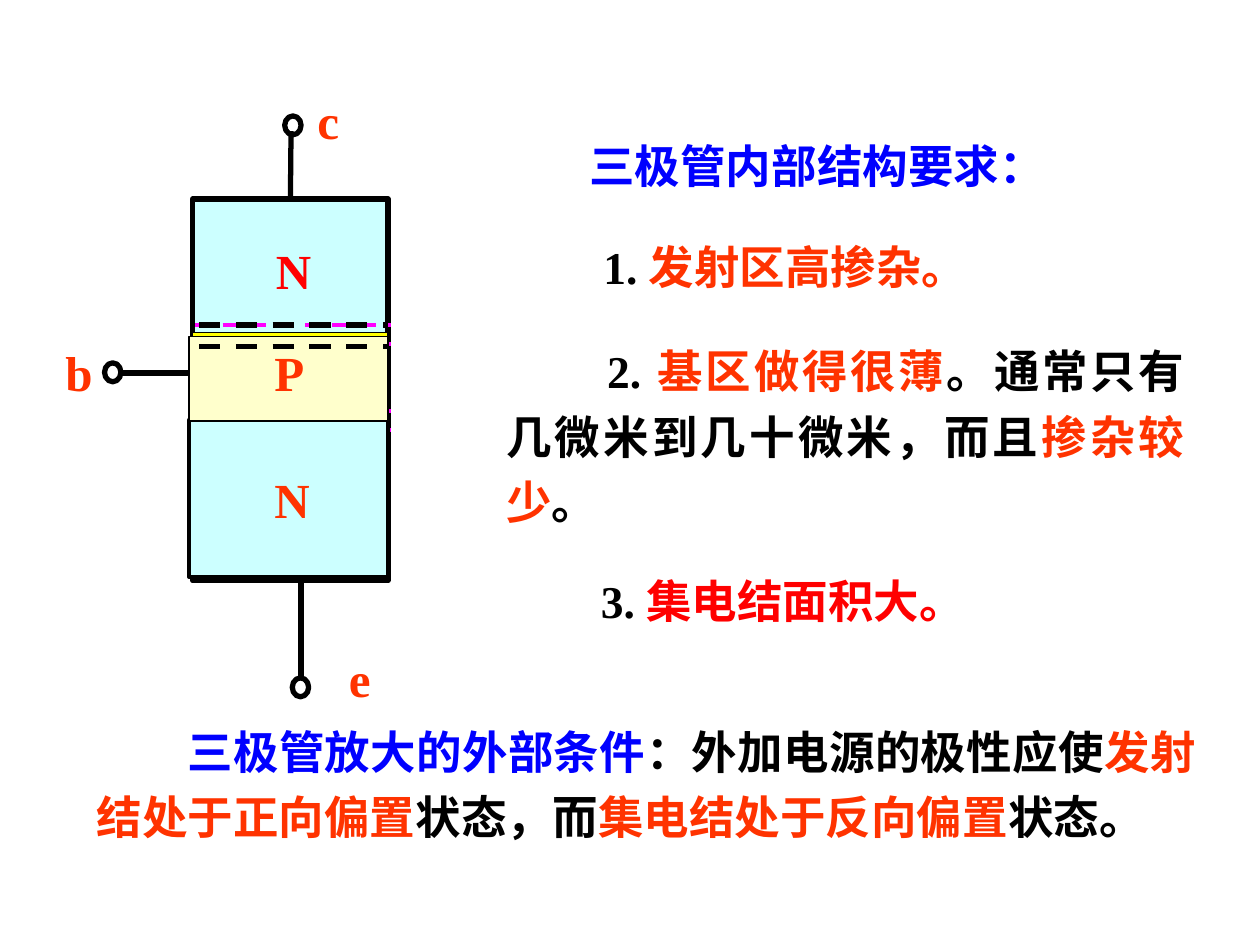
"""Build a slide on the structure and bias conditions of a transistor."""
from dataclasses import dataclass

from pptx import Presentation
from pptx.dml.color import RGBColor
from pptx.enum.dml import MSO_LINE
from pptx.enum.shapes import MSO_CONNECTOR, MSO_SHAPE
from pptx.enum.text import MSO_ANCHOR, MSO_AUTO_SIZE, PP_ALIGN
from pptx.oxml.ns import qn
from pptx.util import Inches, Pt


@dataclass(frozen=True)
class Theme:
    font: str = "Times New Roman"
    body: int = 26
    label: int = 28
    black: str = "000000"
    blue: str = "0000FF"
    red: str = "FF0000"
    orange: str = "FF3300"
    pink: str = "FF00FF"
    cyan: str = "CCFFFF"
    cream: str = "FFFFCC"
    yellow: str = "FFFF00"


THEME = Theme()


def rgb(color):
    return RGBColor.from_string(color)


def add_shape(slide, kind, box, width, fill=None):
    shape = slide.shapes.add_shape(kind, *map(Inches, box))
    shape.shadow.inherit = False
    if fill:
        shape.fill.solid()
        shape.fill.fore_color.rgb = rgb(fill)
    else:
        shape.fill.background()
    shape.line.color.rgb = rgb(THEME.black)
    shape.line.width = Pt(width)
    return shape


def add_line(slide, start, end, width, color=THEME.black, dash=False):
    line = slide.shapes.add_connector(
        MSO_CONNECTOR.STRAIGHT, *map(Inches, (*start, *end)))
    line.line.color.rgb = rgb(color)
    line.line.width = Pt(width)
    if dash:
        line.line.dash_style = MSO_LINE.DASH
    props = line._element.spPr
    props.append(props.makeelement(qn("a:effectLst"), {}))
    return line


def add_rows(slide, left, right, tops, width, color=THEME.black, dash=True):
    for top in tops:
        add_line(slide, (left, top), (right, top), width, color, dash)


def add_text(slide, box, runs, size=THEME.body, align=PP_ALIGN.JUSTIFY,
             indent=0, space=None):
    frame = slide.shapes.add_textbox(*map(Inches, box)).text_frame
    frame.word_wrap = True
    frame.auto_size = MSO_AUTO_SIZE.SHAPE_TO_FIT_TEXT
    para = frame.paragraphs[0]
    para.alignment = align
    if space:
        para.line_spacing = space
    if indent:
        para._p.get_or_add_pPr().set("indent", str(Inches(indent)))
    font = para.font
    font.name, font.size, font.bold = THEME.font, Pt(size), True
    for text, color in runs:
        run = para.add_run()
        run.text = text
        run.font.color.rgb = rgb(color)
    return frame


def add_label(slide, text, box, color=THEME.orange):
    return add_text(slide, box, [(text, color)], THEME.label, PP_ALIGN.LEFT)


def draw_device(slide):
    rect, ring = MSO_SHAPE.RECTANGLE, MSO_SHAPE.OVAL
    body = add_shape(slide, rect, (1.53, 1.58, 1.55, 3.03), 3, THEME.cyan)
    add_rows(slide, 1.55, 3.1, (2.66, 3.34), 2.25, dash=False)
    lead = add_line(slide, (2.31, 1.58), (2.31, 1.04), 3)
    lead.begin_connect(body, 0)
    add_line(slide, (2.39, 4.62), (2.39, 5.38), 3)
    add_line(slide, (1.55, 2.96), (0.96, 2.96), 3)
    add_rows(slide, 1.55, 3.1, (2.58, 2.73, 3.26, 3.41), 2.25, THEME.pink)
    for left, top in ((0.83, 2.88), (2.26, 0.92), (2.32, 5.38)):
        add_shape(slide, ring, (left, top, 0.13, 0.15), 3)

    upper = add_label(slide, "N", (2.09, 1.86, 0.48, 0.57), THEME.red)
    upper.word_wrap = False
    upper.vertical_anchor = MSO_ANCHOR.MIDDLE
    upper.paragraphs[0].alignment = PP_ALIGN.CENTER
    add_shape(slide, rect, (1.53, 2.64, 1.55, 0.68), 0.75, THEME.yellow)
    add_rows(slide, 1.53, 3.09, (2.72, 3.25), 0.75)
    add_label(slide, "e", (2.67, 5.1, 0.67, 0.57))
    add_label(slide, "b", (0.42, 2.67, 0.67, 0.57))
    add_label(slide, "c", (2.42, 0.67, 0.42, 0.57))

    add_shape(slide, rect, (1.5, 3.33, 1.58, 1.25), 2.25, THEME.cyan)
    add_label(slide, "N", (2.08, 3.68, 0.67, 0.57))
    add_shape(slide, rect, (1.5, 2.67, 1.58, 0.67), 0.75, THEME.cream)
    add_label(slide, "P", (2.08, 2.67, 0.58, 0.57))
    add_rows(slide, 1.58, 3.08, (2.58, 2.75), 3)


def write_notes(slide):
    black, blue, hot = THEME.black, THEME.blue, THEME.orange
    add_text(slide, (4.58, 1.05, 4.25, 0.53),
             [("三极管内部结构要求：", blue)])
    add_text(slide, (3.92, 1.85, 5.5, 0.53),
             [("1. ", black), ("发射区高掺杂。", hot)], indent=0.77)
    add_text(slide, (3.92, 2.59, 5.58, 1.66),
             [("2. ", black), ("基区做得很薄", hot),
              ("。通常只有几微米到几十微米，而且", black),
              ("掺杂较少", hot), ("。", black)], indent=0.8, space=1.2)
    add_text(slide, (0.67, 5.61, 8.92, 1.14),
             [("三极管放大的外部条件", blue),
              ("：外加电源的极性应使", black), ("发射结处于正向偏置", hot),
              ("状态，而", black), ("集电结处于反向偏置", hot),
              ("状态。", black)], indent=0.72, space=1.2)
    add_text(slide, (4.67, 4.5, 3.5, 0.53),
             [("3. ", black), ("集电结面积大。", THEME.red)])


def main():
    deck = Presentation()
    deck.slide_width, deck.slide_height = Inches(10), Inches(7.5)
    slide = deck.slides.add_slide(deck.slide_layouts[6])
    draw_device(slide)
    write_notes(slide)
    deck.save("out.pptx")


if __name__ == "__main__":
    main()
